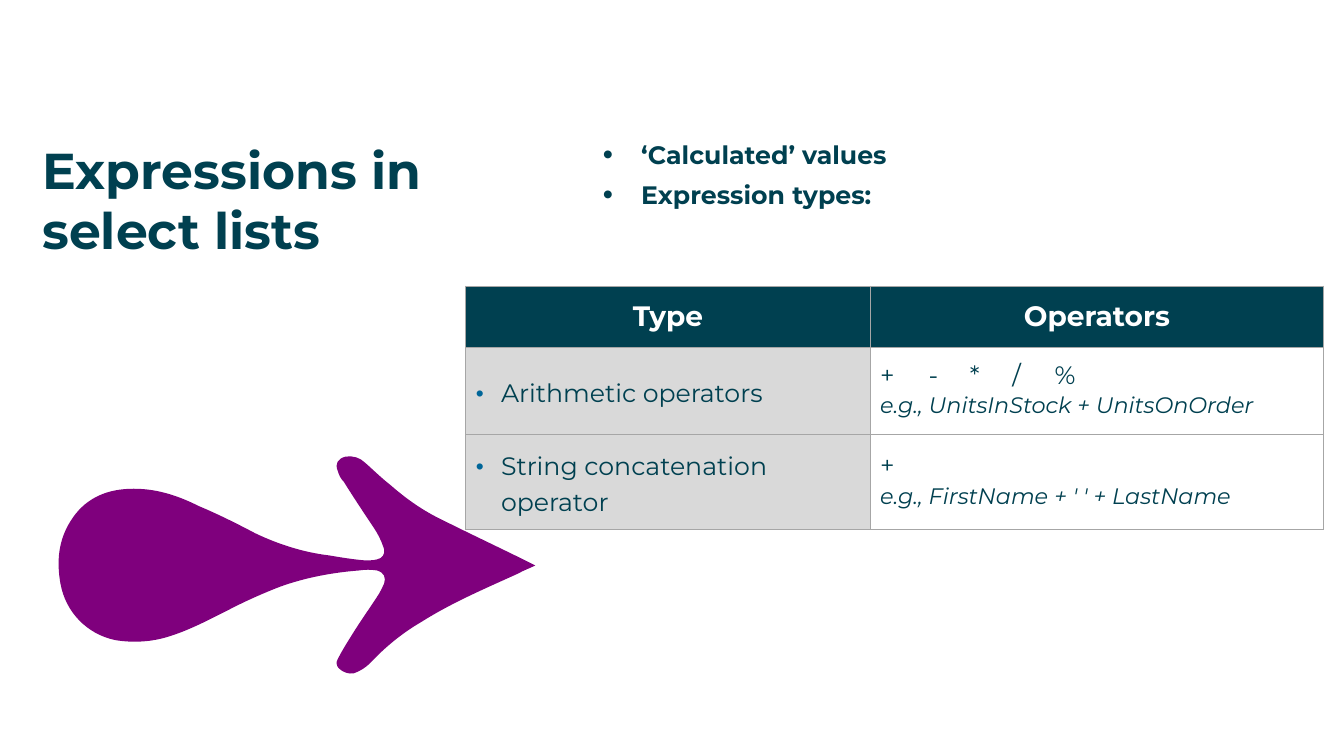
from lxml import etree
from pptx import Presentation
from pptx import util as u
from pptx.dml.color import RGBColor
from pptx.enum import text
from pptx.oxml.ns import qn

PX = 9144  # 100 px to the inch
FONT = "Montserrat"
TEAL, WHITE, GREY, LINE = "004050", "FFFFFF", "D9D9D9", "A6A6A6"
PURPLE, BULLET_BLUE = "7F007D", "006699"

ARROW_TIP = (531, 561)
# Each row: two control points and the end point of one curve.
ARROW_CURVES = [
    (525, 564, 519, 566, 514, 569), (481, 584, 448, 598, 418, 617),
    (399, 628, 382, 642, 367, 658), (363, 662, 357, 666, 351, 668),
    (346, 669, 340, 667, 336, 663), (334, 661, 333, 657, 335, 654),
    (339, 646, 344, 638, 349, 630), (357, 617, 367, 603, 376, 589),
    (378, 586, 379, 583, 381, 579), (383, 573, 381, 568, 374, 566),
    (368, 565, 362, 565, 356, 566), (330, 568, 303, 573, 278, 582),
    (260, 589, 242, 597, 225, 606), (207, 615, 188, 625, 169, 631),
    (151, 637, 132, 638, 114, 635), (86, 629, 65, 607, 60, 579),
    (56, 557, 58, 536, 70, 517), (83, 496, 103, 486, 128, 485),
    (153, 484, 175, 491, 197, 502), (216, 510, 234, 519, 253, 529),
    (276, 540, 301, 548, 326, 551), (338, 553, 350, 555, 362, 556),
    (366, 556, 370, 556, 374, 555), (379, 554, 382, 550, 381, 545),
    (381, 544, 381, 543, 380, 542), (378, 536, 375, 530, 371, 524),
    (361, 509, 351, 494, 341, 478), (338, 475, 336, 471, 335, 467),
    (332, 460, 335, 455, 343, 453), (350, 452, 357, 454, 362, 459),
    (370, 466, 378, 474, 387, 481), (403, 495, 420, 507, 439, 516),
    (469, 531, 499, 545, 529, 560), (530, 560, 530, 560, 531, 561),
]


def px(length):
    return u.Emu(length * PX)


def colour(hex_code):
    return RGBColor.from_string(hex_code)


def child(parent, tag, **attributes):
    return etree.SubElement(parent, qn(tag), attributes)


def add_bullet(props, size, bullet_colour):
    if bullet_colour:
        child(child(props, "a:buClr"), "a:srgbClr", val=bullet_colour)
    child(props, "a:buSzPct", val=str(size * 1000))
    child(props, "a:buFont", typeface="Arial")
    child(props, "a:buChar", char="•")


def write(para, words, size=18, ink=TEAL, bold=False, italic=False, align=None,
          indent=0, spacing=None, before=0, after=0, bullet=0,
          bullet_colour=None, tabs=()):
    """Fill a paragraph; bullet is its size in percent, indent and tabs are px."""
    props = para._p.get_or_add_pPr()
    if indent:
        props.set("marL", str(px(indent)))
        props.set("indent", str(px(-indent)))
    if bullet:
        add_bullet(props, bullet, bullet_colour)
    if tabs:
        stops = child(props, "a:tabLst")
        for stop in tabs:
            child(stops, "a:tab", pos=str(px(stop)), algn="l")
    para.alignment = align
    para.line_spacing = spacing
    para.space_before, para.space_after = u.Pt(before), u.Pt(after)
    span = para.add_run()
    span.text = words
    font = span.font
    font.name, font.size, font.bold, font.italic = FONT, u.Pt(size), bold, italic
    font.color.rgb = colour(ink)


def add_text(page, left, top, width, height, lines, **style):
    frame = page.shapes.add_textbox(*map(px, (left, top, width, height))).text_frame
    frame.word_wrap = True
    frame.margin_left = frame.margin_right = frame.margin_top = frame.margin_bottom = 0
    for index, line in enumerate(lines):
        para = frame.add_paragraph() if index else frame.paragraphs[0]
        write(para, line, **style)


def bend_segments(shape):
    """Turn each three straight segments of a freeform into one cubic curve."""
    segments = list(shape._element.iter(qn("a:lnTo")))
    for first in range(0, len(segments), 3):
        group = segments[first:first + 3]
        curve = etree.Element(qn("a:cubicBezTo"))
        group[0].addprevious(curve)
        for segment in group:
            curve.append(segment[0])
            segment.getparent().remove(segment)


def add_arrow(page):
    builder = page.shapes.build_freeform(*ARROW_TIP, scale=PX)
    builder.add_line_segments(
        [row[i:i + 2] for row in ARROW_CURVES for i in (0, 2, 4)], close=True)
    arrow = builder.convert_to_shape()
    bend_segments(arrow)
    arrow.shadow.inherit = False
    arrow.fill.solid()
    arrow.fill.fore_color.rgb = colour(PURPLE)
    arrow.line.fill.background()


def format_cell(cell, fill):
    cell.vertical_anchor = text.MSO_ANCHOR.MIDDLE
    cell.margin_left = cell.margin_right = cell.margin_top = cell.margin_bottom = px(10)
    props = cell._tc.get_or_add_tcPr()
    for side in ("a:lnL", "a:lnR", "a:lnT", "a:lnB"):
        border = child(props, side, w=str(u.Pt(1)))
        child(child(border, "a:solidFill"), "a:srgbClr", val=LINE)
    cell.fill.solid()
    cell.fill.fore_color.rgb = colour(fill)


def add_operator_table(page, left, top, widths, heights, headings, rows):
    frame = page.shapes.add_table(len(heights), len(widths), px(left), px(top),
                                  px(sum(widths)), px(sum(heights)))
    table = frame.table
    table.first_row = table.horz_banding = False
    for column, width in zip(table.columns, widths):
        column.width = px(width)
    for row, height in zip(table.rows, heights):
        row.height = px(height)

    for index, heading in enumerate(headings):
        cell = table.cell(0, index)
        format_cell(cell, TEAL)
        write(cell.text_frame.paragraphs[0], heading, size=20, ink=WHITE, bold=True,
              align=text.PP_ALIGN.CENTER, spacing=0.9)

    for index, (kind, operators, example) in enumerate(rows, start=1):
        kind_cell, operator_cell = table.cell(index, 0), table.cell(index, 1)
        format_cell(kind_cell, GREY)
        format_cell(operator_cell, WHITE)
        write(kind_cell.text_frame.paragraphs[0], kind, indent=25, spacing=1.18,
              bullet=90, bullet_colour=BULLET_BLUE)
        frame = operator_cell.text_frame
        tabs = [48, 89, 131, 173][:len(operators) - 1]
        write(frame.paragraphs[0], "\t".join(operators), spacing=0.8, tabs=tabs)
        write(frame.add_paragraph(), example, size=16, italic=True, indent=25,
              spacing=0.8, before=5)


def main():
    deck = Presentation()
    deck.slide_width, deck.slide_height = px(1333), px(750)
    page = deck.slides.add_slide(deck.slide_layouts[6])
    add_arrow(page)
    add_text(page, 42, 138, 426, 287, ["Expressions in select lists"], size=36, bold=True)
    add_text(page, 598, 138, 694, 571, ["‘Calculated’ values", "Expression types:"],
             bold=True, indent=38, spacing=u.Pt(22), after=6.5, bullet=115)
    add_operator_table(
        page, 462, 284, [401, 450], [61, 86, 94], ["Type", "Operators"],
        [("Arithmetic operators", "+-*/%", "e.g., UnitsInStock + UnitsOnOrder"),
         ("String concatenation operator", "+", "e.g., FirstName + ' ' + LastName")])
    deck.save("out.pptx")


if __name__ == "__main__":
    main()
